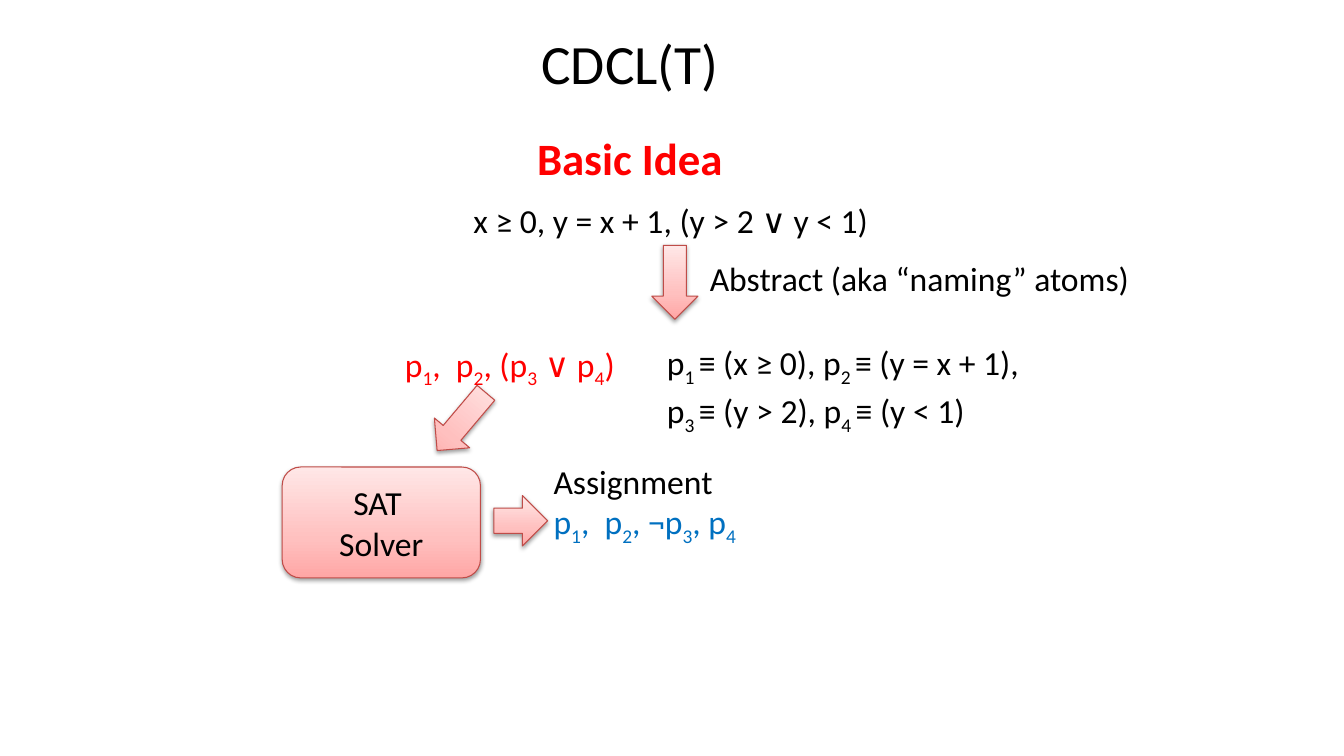
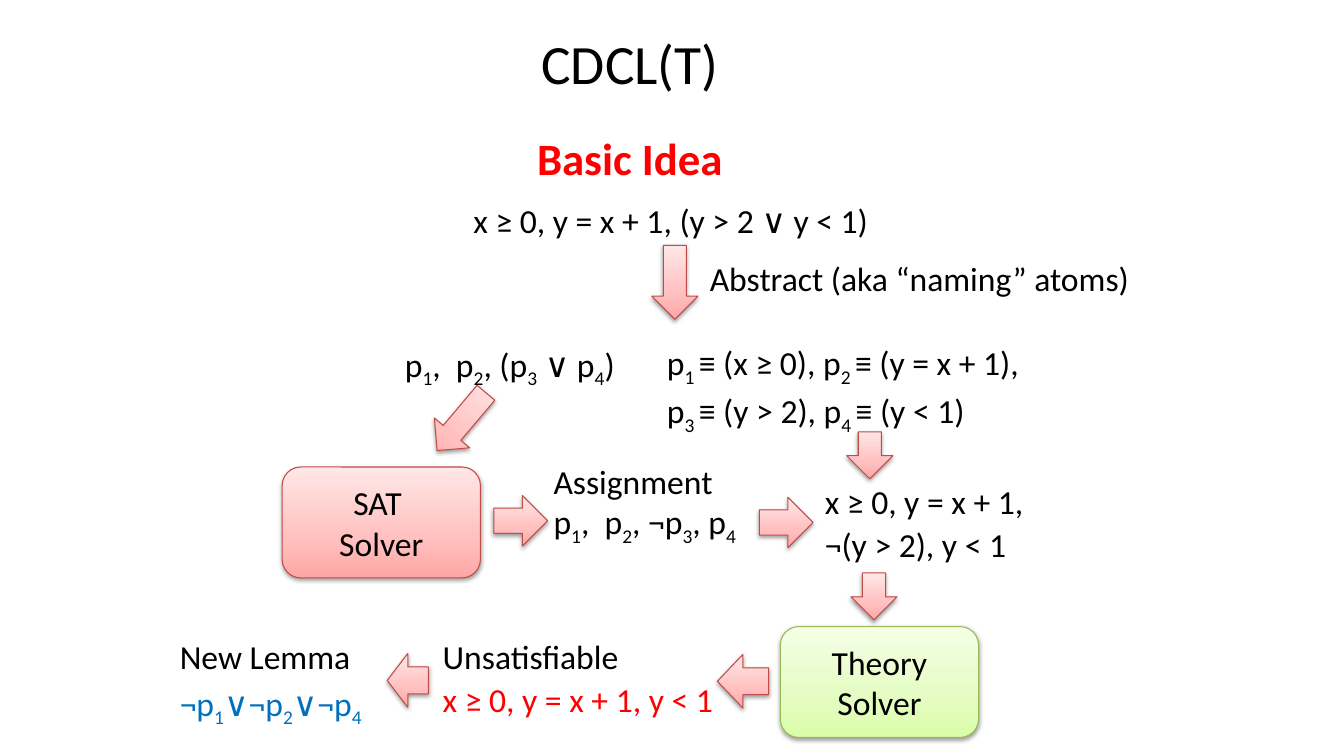
from copy import deepcopy

from lxml import etree
from pptx import Presentation
from pptx import util as u
from pptx.dml.color import RGBColor
from pptx.enum import shapes, text
from pptx.oxml.ns import qn

COLORS = {
    "black": "000000",
    "red": "FF0000",
    "blue": "0070C0",
}
SHADES = {
    "rose": {"line": "BF4C48", "stops": ["FFA6A5", "FFC0BF", "FFE7E7"]},
    "lime": {"line": "98B955", "stops": ["DAFDA7", "E4FCC2", "F5FFE7"]},
}
STOP_POSITIONS = [0, 0.35, 1]
COLUMNS, ROWS = 160, 90
FONT = "Calibri"
ARROWS = {
    "down": shapes.MSO_SHAPE.DOWN_ARROW,
    "right": shapes.MSO_SHAPE.RIGHT_ARROW,
    "left": shapes.MSO_SHAPE.LEFT_ARROW,
}
SOLVER_SIZE = (23.6, 13.2)


class Sketch:
    def __init__(self):
        self.deck = Presentation()
        self.deck.slide_width = u.Inches(13.33)
        self.deck.slide_height = u.Inches(7.5)
        self.page = None

    def place(self, column, row, width, height):
        across = self.deck.slide_width / COLUMNS
        down = self.deck.slide_height / ROWS
        return (round(column * across), round(row * down),
                round(width * across), round(height * down))

    def add_lines(self, frame, lines, size=24, bold=False, align="LEFT",
                  spacing=None, before=0):
        frame.word_wrap = True
        frame.auto_size = text.MSO_AUTO_SIZE.NONE
        for index, (line, color) in enumerate(lines):
            para = frame.add_paragraph() if index else frame.paragraphs[0]
            para.alignment = text.PP_ALIGN[align]
            if spacing:
                para.line_spacing = spacing
            if index:
                para.space_before = u.Pt(before)
            for part, words in enumerate(line.split("|")):
                if not words:
                    continue
                span = para.add_run()
                span.text = words
                span.font.name = FONT
                span.font.size = u.Pt(size)
                span.font.bold = bold
                span.font.color.rgb = RGBColor.from_string(COLORS[color])
                if part % 2:
                    span.font._element.set("baseline", "-25000")

    def start(self, title):
        self.page = self.deck.slides.add_slide(self.deck.slide_layouts[5])
        holder = self.page.shapes.title
        holder.left, holder.top, holder.width, holder.height = self.place(20, 3, 110, 8.8)
        holder.text_frame.vertical_anchor = text.MSO_ANCHOR.MIDDLE
        self.add_lines(holder.text_frame, [(title, "black")], size=39.6, align="CENTER")

    def heading(self, words):
        box = self.page.shapes.add_textbox(*self.place(20, 15, 110, 7.5))
        self.add_lines(box.text_frame, [(words, "red")], size=32, bold=True,
                       align="CENTER")

    def note(self, area, *lines, align="LEFT", before=4.8):
        box = self.page.shapes.add_textbox(*self.place(*area))
        frame = box.text_frame
        frame.margin_left = frame.margin_right = 0
        frame.margin_top = frame.margin_bottom = 0
        self.add_lines(frame, lines, align=align, spacing=0.9, before=before)

    def shaded(self, preset, area, shade):
        shape = self.page.shapes.add_shape(preset, *self.place(*area))
        look = SHADES[shade]
        shape.fill.gradient()
        shape.fill.gradient_angle = 90
        properties = shape._element.spPr
        stops = properties.find(".//" + qn("a:gsLst"))
        stops.insert(1, deepcopy(stops[0]))
        for stop, color, position in zip(shape.fill.gradient_stops, look["stops"],
                                         STOP_POSITIONS):
            stop.color.rgb = RGBColor.from_string(color)
            stop.position = position
        shape.line.color.rgb = RGBColor.from_string(look["line"])
        shape.line.width = u.Pt(0.75)
        shape.shadow.inherit = False
        effects = properties.find(qn("a:effectLst"))
        shadow = etree.SubElement(effects, qn("a:outerShdw"), blurRad="40000",
                                  dist="20000", dir="5400000", rotWithShape="0")
        tone = etree.SubElement(shadow, qn("a:srgbClr"), val=COLORS["black"])
        etree.SubElement(tone, qn("a:alpha"), val="38000")
        return shape

    def arrow(self, direction, area, rotation=0):
        self.shaded(ARROWS[direction], area, "rose").rotation = rotation

    def solver(self, column, row, lines, shade):
        box = self.shaded(shapes.MSO_SHAPE.ROUNDED_RECTANGLE,
                          (column, row, *SOLVER_SIZE), shade)
        box.text_frame.vertical_anchor = text.MSO_ANCHOR.MIDDLE
        self.add_lines(box.text_frame, [(line, "black") for line in lines],
                       align="CENTER")


def draw_abstraction(sketch, clause_color, assignment_color):
    sketch.start("CDCL(T)")
    sketch.heading("Basic Idea")
    sketch.note((25.3, 24.4, 110, 4.3),
                ("x ≥ 0, y = x + 1, (y > 2 ∨ y < 1) ", "black"), align="CENTER")
    sketch.note((48.2, 41, 28.6, 4.3),
                ("p|1|,  p|2|, (p|3| ∨ p|4|)", clause_color))
    sketch.arrow("down", (77.6, 29.2, 5.5, 8.8))
    sketch.note((84.5, 31.3, 55.4, 4.3), ("Abstract (aka “naming” atoms)", "black"))
    sketch.note((79.4, 40.8, 49, 9.7),
                ("p|1 |≡ (x ≥ 0), p|2 |≡ (y = x + 1),", "black"),
                ("p|3 |≡ (y > 2), p|4 |≡ (y < 1)", "black"))
    sketch.solver(33.6, 55.6, ["SAT ", "Solver"], "rose")
    sketch.arrow("down", (52.2, 45.7, 5.5, 9), rotation=40.2)
    sketch.arrow("right", (58.8, 59, 6.4, 6))
    sketch.note((65.9, 55.4, 28.6, 8.8), ("Assignment", "black"),
                ("p|1|,  p|2|, ¬p|3|, p|4|", assignment_color), before=0)


def draw_theory_check(sketch):
    sketch.arrow("right", (90.4, 59.2, 6.4, 6))
    sketch.arrow("down", (100.8, 51.4, 5.5, 5.6))
    sketch.note((98.2, 57.8, 26, 9.7), ("x ≥ 0, y = x + 1,", "black"),
                ("¬(y > 2), y < 1", "black"))
    sketch.arrow("down", (101.3, 68.2, 5.5, 5.6))
    sketch.solver(92.9, 74.6, ["Theory", "Solver"], "lime")
    sketch.arrow("left", (85.4, 77.9, 6.1, 6.4))
    sketch.note((52.7, 76.2, 32.8, 9.7), ("Unsatisfiable", "black"),
                ("x ≥ 0, y = x + 1, y < 1", "red"))
    sketch.arrow("left", (46.1, 77.8, 4.9, 6.4))
    sketch.note((21.4, 76.2, 32.8, 9.7), ("New Lemma", "black"),
                ("¬p|1|∨¬p|2|∨¬p|4|", "blue"))


def main():
    sketch = Sketch()
    draw_abstraction(sketch, "red", "blue")
    draw_abstraction(sketch, "black", "black")
    draw_theory_check(sketch)
    sketch.deck.save("out.pptx")


if __name__ == "__main__":
    main()
